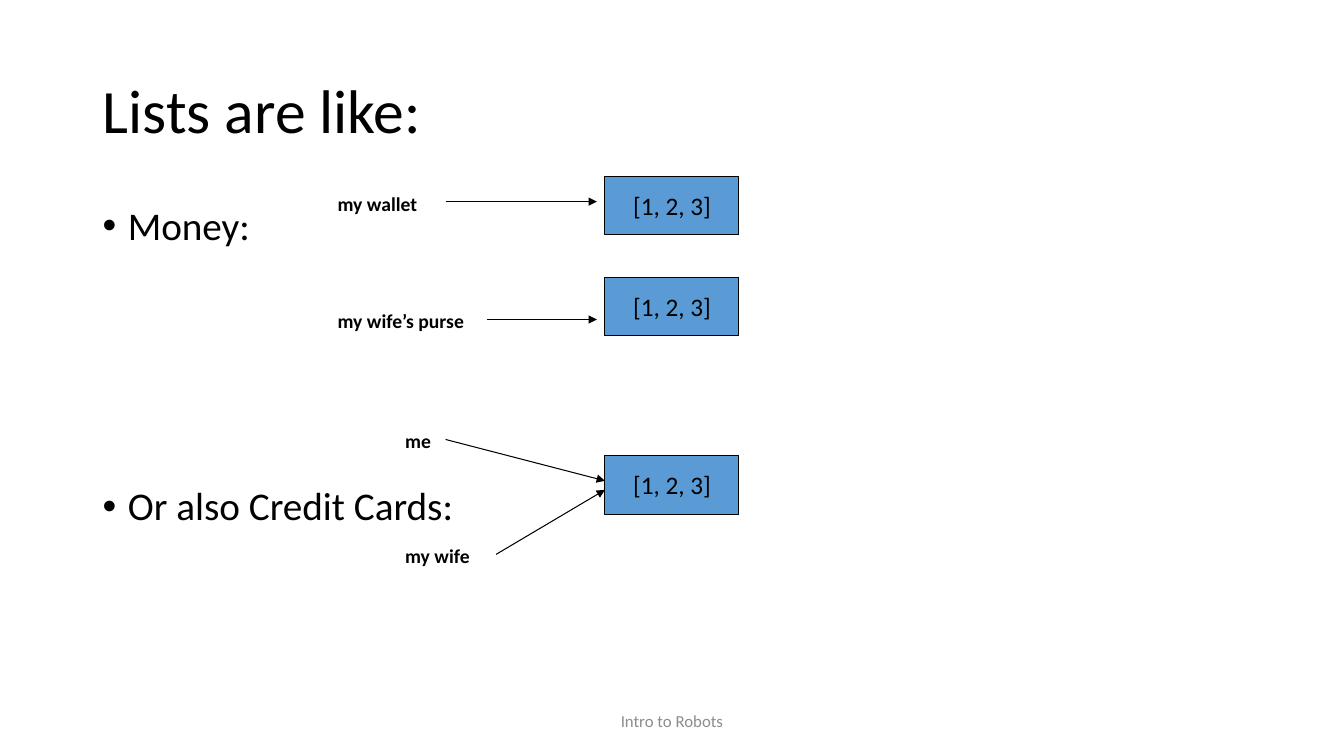
from lxml import etree
from pptx import Presentation
from pptx.dml.color import RGBColor
from pptx.enum.shapes import MSO_CONNECTOR, MSO_SHAPE
from pptx.enum.text import MSO_ANCHOR, MSO_AUTO_SIZE, PP_ALIGN
from pptx.oxml.ns import qn
from pptx.util import Inches, Pt

STRAIGHT, RECTANGLE = MSO_CONNECTOR.STRAIGHT, MSO_SHAPE.RECTANGLE
TOP, MIDDLE = MSO_ANCHOR.TOP, MSO_ANCHOR.MIDDLE
LEFT, CENTER = PP_ALIGN.LEFT, PP_ALIGN.CENTER
NO_FIT = MSO_AUTO_SIZE.NONE
BLACK = RGBColor(0x00, 0x00, 0x00)
GRAY = RGBColor(0x8C, 0x8C, 0x8C)
BLUE = RGBColor(0x5B, 0x9B, 0xD5)
FONT = "Calibri"

# Content: lengths in inches
TITLE = "Lists are like:"
FOOTER = "Intro to Robots"
BULLETS = [("Money:", 10), ("Or also Credit Cards:", 170)]  # text, points before
LIST_VALUE = "[1, 2, 3]"
LIST_TOPS = [1.75, 2.75, 4.52]
NAMES = [  # name, left, arrow start, arrow end
    ("my wallet", 3.25, (4.42, 2), (5.92, 2)),
    ("my wife’s purse", 3.25, (4.83, 3.17), (5.92, 3.17)),
    ("me", 3.92, (4.42, 4.36), (6, 4.77)),
    ("my wife", 3.92, (4.92, 5.5), (6, 4.86)),
]

# Layout
SLIDE_WIDTH, SLIDE_HEIGHT = 13.33, 7.5
MARGIN = 0.92
CONTENT_WIDTH = 11.5
FOOTER_WIDTH = 4.5
LIST_LEFT, LIST_WIDTH, LIST_HEIGHT = 6, 1.33, 0.58
NAME_WIDTH, NAME_HEIGHT = 1.5, 0.33
NAME_RISE = 0.15  # label top above its arrow start
LINE_WIDTH = Pt(0.75)


def place(shape, left, top, width, height):
    shape.left, shape.top = Inches(left), Inches(top)
    shape.width, shape.height = Inches(width), Inches(height)


def write(shape, text, size, color=BLACK, align=LEFT, anchor=TOP, bold=False, wrap=True):
    frame = shape.text_frame
    frame.text = text
    frame.word_wrap = wrap
    frame.auto_size = NO_FIT
    frame.vertical_anchor = anchor
    for paragraph in frame.paragraphs:
        paragraph.alignment = align
        for run in paragraph.runs:
            run.font.name = FONT
            run.font.size = Pt(size)
            run.font.bold = bold
            run.font.color.rgb = color


def add_text(slide, box, text, size, **style):
    shape = slide.shapes.add_textbox(*map(Inches, box))
    write(shape, text, size, **style)
    return shape


def add_bullet(paragraph, space_before):
    paragraph.line_spacing = 0.9
    paragraph.space_before = Pt(space_before)
    properties = paragraph._p.get_or_add_pPr()
    properties.set("marL", str(Inches(0.25)))
    properties.set("indent", str(-Inches(0.25)))
    etree.SubElement(properties, qn("a:buFont")).set("typeface", "Arial")
    etree.SubElement(properties, qn("a:buChar")).set("char", "•")


def add_list_box(slide, top):
    shape = slide.shapes.add_shape(
        RECTANGLE, *map(Inches, (LIST_LEFT, top, LIST_WIDTH, LIST_HEIGHT)))
    shape.shadow.inherit = False
    shape.fill.solid()
    shape.fill.fore_color.rgb = BLUE
    shape.line.color.rgb = BLACK
    shape.line.width = LINE_WIDTH
    write(shape, LIST_VALUE, 18, align=CENTER, anchor=MIDDLE, wrap=False)


def add_arrow(slide, start, end):
    arrow = slide.shapes.add_connector(STRAIGHT, *map(Inches, start + end))
    arrow.line.color.rgb = BLACK
    arrow.line.width = LINE_WIDTH
    etree.SubElement(arrow.line._get_or_add_ln(), qn("a:tailEnd")).set("type", "triangle")
    etree.SubElement(arrow._element.spPr, qn("a:effectLst"))


def main():
    presentation = Presentation()
    presentation.slide_width = Inches(SLIDE_WIDTH)
    presentation.slide_height = Inches(SLIDE_HEIGHT)
    slide = presentation.slides.add_slide(presentation.slide_layouts[5])

    # Title and footer
    title = slide.shapes.title
    place(title, MARGIN, 0.4, CONTENT_WIDTH, 1.45)
    write(title, TITLE, 44, anchor=MIDDLE)
    title.text_frame.paragraphs[0].line_spacing = 0.9
    footer_box = ((SLIDE_WIDTH - FOOTER_WIDTH) / 2, 6.95, FOOTER_WIDTH, 0.4)
    add_text(slide, footer_box, FOOTER, 12, color=GRAY, align=CENTER, anchor=MIDDLE)

    # Bullets
    body = add_text(slide, (MARGIN, 2, CONTENT_WIDTH, 4.76),
                    "\n".join(text for text, _ in BULLETS), 28)
    for paragraph, (_, space_before) in zip(body.text_frame.paragraphs, BULLETS):
        add_bullet(paragraph, space_before)

    # Lists and the names that point to them
    for top in LIST_TOPS:
        add_list_box(slide, top)
    for name, left, start, end in NAMES:
        name_box = (left, start[1] - NAME_RISE, NAME_WIDTH, NAME_HEIGHT)
        add_text(slide, name_box, name, 14, bold=True, wrap=False)
        add_arrow(slide, start, end)

    presentation.save("out.pptx")


if __name__ == "__main__":
    main()
